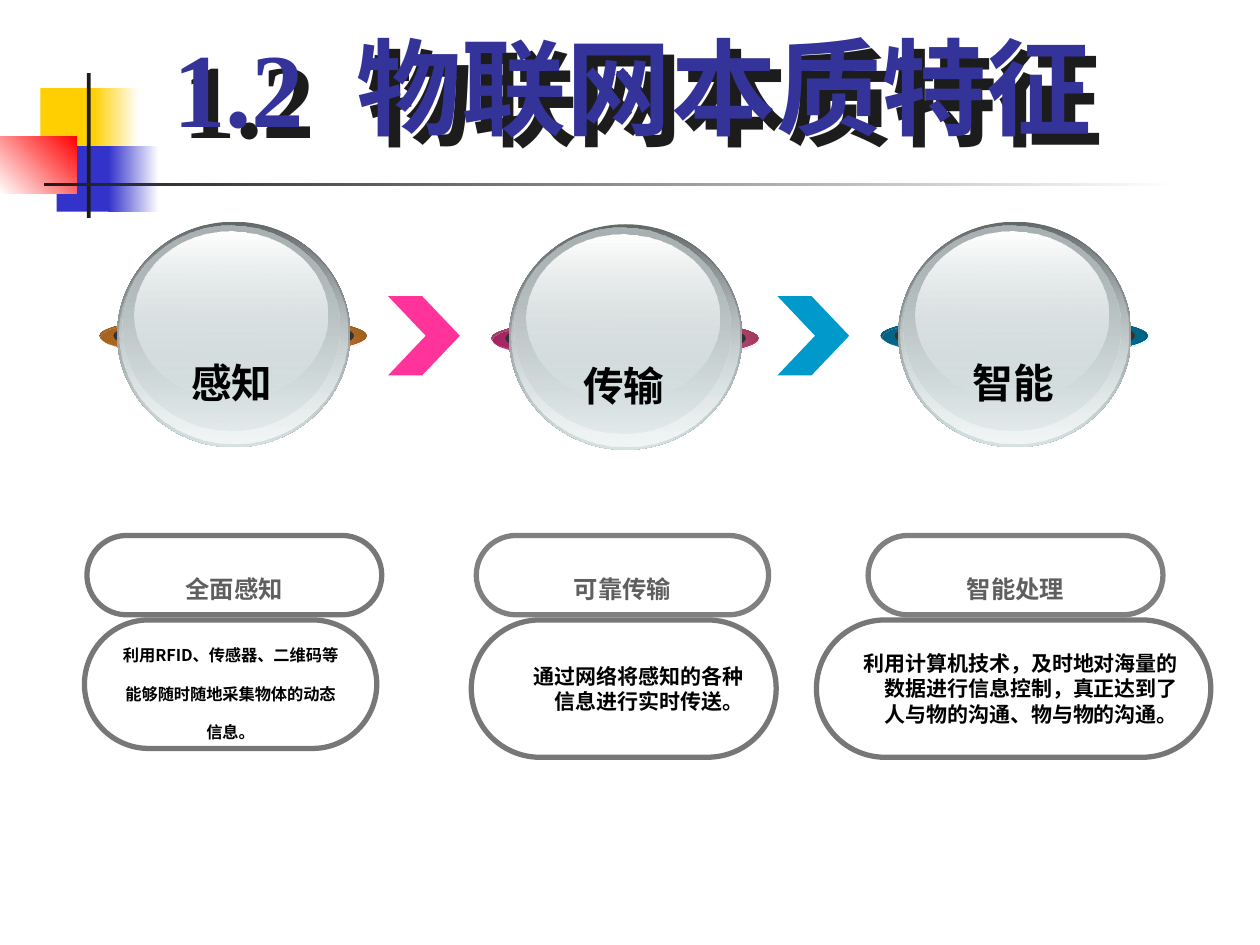
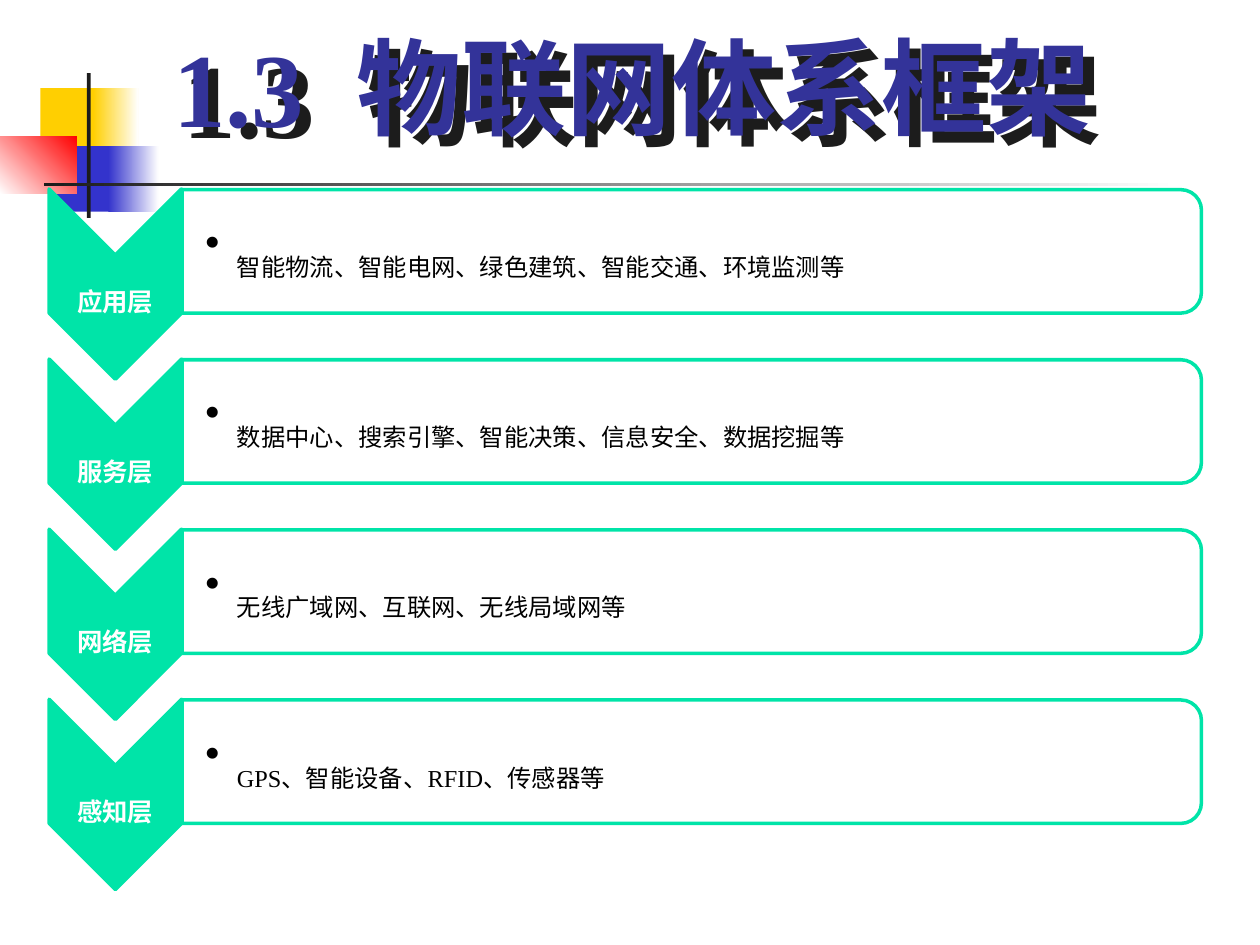
"""Two slides on the essential features and the layered architecture of the Internet of Things."""
from dataclasses import dataclass, field
from typing import Optional

from lxml import etree
from pptx import Presentation
from pptx.dml.color import RGBColor
from pptx.enum.shapes import MSO_SHAPE as Preset
from pptx.enum.text import MSO_ANCHOR as Anchor, PP_ALIGN as Align
from pptx.oxml.ns import qn
from pptx.util import Inches, Pt

COLORS = {
    "white": "FFFFFF", "black": "000000", "ink": "1C1C1C", "title": "333399",
    "yellow": "FFCF01", "blue": "3333CC", "red": "FF0000",
    "pill_text": "5F5F5F", "frame": "777777", "pill_frame": "808080",
    "core": "333333", "rim": "636869", "glass": "D6E1E2", "glint": "F1F5F5",
    "shade": "AAB2B3", "layer": "00E4A8", "pink": "FF3399", "cyan": "0099CC",
    "orange": "FF9933", "rose": "FF6699", "orange_edge": "8A531C",
    "orange_dark": "A26120", "rose_edge": "8A3753", "pink_dark": "A22061",
    "pink_deep": "761847", "cyan_edge": "00536E", "cyan_dark": "006182",
}
EAST_ASIAN_FONT = "Noto Sans CJK SC"
Box = tuple[float, float, float, float]


@dataclass(frozen=True)
class Stop:
    position: int
    color: str
    alpha: int = 100


@dataclass(frozen=True)
class Gradient:
    angle: int
    stops: tuple[Stop, ...]


@dataclass(frozen=True)
class TextStyle:
    color: str
    font: dict
    paragraph: dict = field(default_factory=dict)
    frame: dict = field(default_factory=dict)
    lowered: bool = True
    indent: Optional[tuple[float, float]] = None
    bullet: str = ""


@dataclass(frozen=True)
class Feature:
    name: str
    left: float
    top: float
    glow: Gradient
    dusk: Gradient
    orbit: Gradient
    veil: Gradient


@dataclass(frozen=True)
class Panel:
    box: Box
    lines: tuple[str, ...]
    style: TextStyle
    frame_color: str = "frame"


@dataclass(frozen=True)
class Layer:
    name: str
    examples: str


def blend(angle: int, *colors: str) -> Gradient:
    last = len(colors) - 1
    return Gradient(angle, tuple(Stop(100 * i // last, c) for i, c in enumerate(colors)))


def fade(angle: int, start: str, end: str, start_alpha: int = 100, end_alpha: int = 100) -> Gradient:
    return Gradient(angle, (Stop(0, start, start_alpha), Stop(100, end, end_alpha)))


CENTERED = {"alignment": Align.CENTER}
UNWRAPPED = {"vertical_anchor": Anchor.MIDDLE, "word_wrap": False}
TIGHT = {"vertical_anchor": Anchor.MIDDLE, "word_wrap": True, "margin_left": Inches(0.02),
         "margin_right": Inches(0.02), "margin_top": Inches(0.02), "margin_bottom": Inches(0.02)}

TITLE = TextStyle("title", {"name": "Times New Roman", "size": Pt(60), "bold": True}, CENTERED,
                  {"vertical_anchor": Anchor.MIDDLE, "word_wrap": True}, lowered=False)
SPHERE_LABEL = TextStyle("black", {"name": "Arial", "size": Pt(40), "bold": True},
                         frame={"word_wrap": True})
PILL = TextStyle("pill_text", {"name": "DejaVu Sans", "size": Pt(24), "bold": True},
                 CENTERED, UNWRAPPED)
SENSING = TextStyle("black", {"name": EAST_ASIAN_FONT, "size": Pt(16), "bold": True},
                    CENTERED, UNWRAPPED)
DETAIL = TextStyle("black", {"name": EAST_ASIAN_FONT, "size": Pt(12), "bold": True},
                   {"alignment": Align.RIGHT, "level": 1}, UNWRAPPED,
                   lowered=False, indent=(0.81, -0.31))
LAYER_NAME = TextStyle("white", {"name": "Times New Roman", "size": Pt(25), "bold": True},
                       {"alignment": Align.CENTER, "line_spacing": 0.9}, TIGHT)
LAYER_EXAMPLES = TextStyle("black", {"name": "Times New Roman", "size": Pt(24)},
                           {"level": 1, "line_spacing": 0.9},
                           {**TIGHT, "margin_left": Inches(0.19)},
                           indent=(0.25, -0.25), bullet="•")

BANDS = (
    ((0.32, 0.7, 0.48, 0.52), "yellow"),
    ((0.74, 0.7, 0.36, 0.52), blend(0, "yellow", "white")),
    ((0.45, 1.16, 0.46, 0.52), "blue"),
    ((0.86, 1.16, 0.4, 0.52), blend(0, "blue", "white")),
    ((0, 1.08, 0.61, 0.46), blend(315, "white", "red")),
    ((0.69, 0.58, 0.03, 1.15), "ink"),
    ((0.35, 1.45, 9, 0.03), blend(0, "ink", "white")),
)
GLASS = (
    ((0, 0, 1.85, 1.79), blend(90, "rim", "glass")),
    ((0.02, 0.01, 1.81, 1.75), fade(90, "glass", "glint", start_alpha=0)),
    ((0.04, 0.03, 1.72, 1.63), fade(90, "shade", "glass", end_alpha=48)),
    ((0.14, 0.08, 1.53, 1.32), fade(90, "white", "glass", end_alpha=38)),
)
FEATURES = (
    Feature("感知", 0.93, 1.76, blend(45, "white", "orange", "white"),
            fade(45, "orange", "black", 32, 90),
            blend(315, "orange_edge", "orange", "orange_edge"),
            fade(45, "orange_dark", "orange", end_alpha=0)),
    Feature("传输", 4.04, 1.78, blend(45, "white", "pink", "white"),
            fade(45, "pink", "pink_deep", 32),
            blend(315, "rose_edge", "rose", "rose_edge"),
            fade(45, "pink_dark", "pink", end_alpha=0)),
    Feature("智能", 7.13, 1.76, blend(45, "white", "cyan", "white"),
            fade(45, "cyan", "black", 32, 90),
            blend(315, "cyan_edge", "cyan", "cyan_edge"),
            fade(45, "cyan_dark", "cyan", end_alpha=0)),
)
STEPS = ((3.08, "pink"), (6.17, "cyan"))
PANELS = (
    Panel((0.69, 4.25, 2.34, 0.63), ("全面感知",), PILL),
    Panel((3.78, 4.25, 2.32, 0.63), ("可靠传输",), PILL, "pill_frame"),
    Panel((6.89, 4.25, 2.34, 0.63), ("智能处理",), PILL, "pill_frame"),
    Panel((0.67, 4.92, 2.32, 1.02),
          ("利用RFID、传感器、二维码等", "能够随时随地采集物体的动态", "信息。"), SENSING),
    Panel((3.74, 4.92, 2.42, 1.09), ("通过网络将感知的各种", "信息进行实时传送。"), DETAIL),
    Panel((6.48, 4.92, 3.13, 1.09),
          ("利用计算机技术，及时地对海量的", "数据进行信息控制，真正达到了",
           "人与物的沟通、物与物的沟通。"), DETAIL),
)
LAYERS = (
    Layer("应用层", "智能物流、智能电网、绿色建筑、智能交通、环境监测等"),
    Layer("服务层", "数据中心、搜索引擎、智能决策、信息安全、数据挖掘等"),
    Layer("网络层", "无线广域网、互联网、无线局域网等"),
    Layer("感知层", "GPS、智能设备、RFID、传感器等"),
)
LAYER_PITCH = 1.35


def rgb(color: str) -> RGBColor:
    return RGBColor.from_string(COLORS[color])


def add_color(parent, color: str, alpha: int = 100) -> None:
    element = etree.SubElement(parent, qn("a:srgbClr"), val=COLORS[color])
    if alpha < 100:
        etree.SubElement(element, qn("a:alpha"), val=str(alpha * 1000))


def apply_gradient(shape, gradient: Gradient) -> None:
    fill = etree.Element(qn("a:gradFill"), rotWithShape="1")
    stops = etree.SubElement(fill, qn("a:gsLst"))
    for stop in gradient.stops:
        add_color(etree.SubElement(stops, qn("a:gs"), pos=str(stop.position * 1000)),
                  stop.color, stop.alpha)
    etree.SubElement(fill, qn("a:lin"), ang=str(gradient.angle * 60000), scaled="1")
    shape._element.spPr.find(qn("a:prstGeom")).addnext(fill)


def draw(slide, preset, box: Box, fill=None, outline: str = "", weight: float = 0, rotation: float = 0):
    shape = slide.shapes.add_shape(preset, *map(Inches, box))
    shape.shadow.inherit = False
    shape.rotation = rotation
    if isinstance(fill, Gradient):
        apply_gradient(shape, fill)
    elif fill:
        shape.fill.solid()
        shape.fill.fore_color.rgb = rgb(fill)
    else:
        shape.fill.background()
    if outline:
        shape.line.color.rgb = rgb(outline)
        shape.line.width = Pt(weight)
    else:
        shape.line.fill.background()
    return shape


def set_all(target, values: dict) -> None:
    for name, value in values.items():
        setattr(target, name, value)


def write(shape, lines: tuple[str, ...], style: TextStyle) -> None:
    frame = shape.text_frame
    set_all(frame, style.frame)
    for index, line in enumerate(lines):
        paragraph = frame.paragraphs[0] if index == 0 else frame.add_paragraph()
        set_all(paragraph, style.paragraph)
        properties = paragraph._p.get_or_add_pPr()
        if style.indent:
            for name, value in zip(("marL", "indent"), style.indent):
                properties.set(name, str(Inches(value)))
        if style.bullet:
            etree.SubElement(properties, qn("a:buChar"), char=style.bullet)
        run = paragraph.add_run()
        run.text = line
        set_all(run.font, style.font)
        run.font.color.rgb = rgb(style.color)
        run_properties = run._r.get_or_add_rPr()
        etree.SubElement(run_properties, qn("a:ea"), typeface=EAST_ASIAN_FONT)
        if style.lowered:
            run_properties.set("baseline", "-25000")


def add_text(slide, box: Box, text: str, style: TextStyle):
    label = slide.shapes.add_textbox(*map(Inches, box))
    write(label, (text,), style)
    return label


def start_slide(deck, title: str):
    slide = deck.slides.add_slide(deck.slide_layouts[6])
    for box, fill in BANDS:
        draw(slide, Preset.RECTANGLE, box, fill)
    heading = add_text(slide, (0.98, 0.13, 8.08, 1.1), title, TITLE)
    effects = etree.SubElement(heading._element.spPr, qn("a:effectLst"))
    shadow = etree.SubElement(effects, qn("a:outerShdw"), dist=str(Inches(0.12)),
                              dir="2700000", algn="ctr", rotWithShape="0")
    add_color(shadow, "ink")
    return slide


def draw_feature(slide, feature: Feature) -> None:
    rings = (
        ((0.03, 0.76, 0.2, 0.31), feature.glow),
        ((0.03, 0.76, 0.2, 0.31), feature.dusk),
        ((-0.14, 0.75, 2.12, 0.31), feature.orbit),
        ((-0.13, 0.76, 2.12, 0.31), feature.veil),
        ((-0.03, 0.75, 1.91, 0.31), "core"),
    )
    for (dx, dy, width, height), fill in rings + GLASS:
        draw(slide, Preset.OVAL, (feature.left + dx, feature.top + dy, width, height), fill)
    add_text(slide, (feature.left + 0.49, feature.top + 0.66, 0.99, 0.55),
             feature.name, SPHERE_LABEL)


def draw_layer(slide, layer: Layer, offset: float) -> None:
    draw(slide, Preset.CHEVRON, (0.16, 1.73 + offset, 1.51, 1.05), "layer", "layer", 2, 90)
    add_text(slide, (0.39, 2.03 + offset, 1.05, 0.45), layer.name, LAYER_NAME)
    bar = draw(slide, Preset.ROUND_2_SAME_RECTANGLE, (5, offset - 2.05, 0.98, 8.09),
               "white", "layer", 2, 90)
    white = bar._element.spPr.find(qn("a:solidFill"))[0]
    etree.SubElement(white, qn("a:alpha"), val="90000")
    add_text(slide, (1.44, 1.55 + offset, 8.04, 0.88), layer.examples, LAYER_EXAMPLES)


def main() -> None:
    deck = Presentation()
    deck.slide_width, deck.slide_height = Inches(10), Inches(7.5)

    features_slide = start_slide(deck, "1.2  物联网本质特征")
    for left, color in STEPS:
        step = draw(features_slide, Preset.CHEVRON, (left, 2.35, 0.57, 0.63), color)
        step.adjustments[0] = 0.525
    for feature in FEATURES:
        draw_feature(features_slide, feature)
    for panel in PANELS:
        pill = draw(features_slide, Preset.ROUNDED_RECTANGLE, panel.box,
                    outline=panel.frame_color, weight=3)
        pill.adjustments[0] = 0.5
        write(pill, panel.lines, panel.style)

    layers_slide = start_slide(deck, "1.3  物联网体系框架")
    for row, layer in enumerate(LAYERS):
        draw_layer(layers_slide, layer, row * LAYER_PITCH)

    deck.save("out.pptx")


if __name__ == "__main__":
    main()
